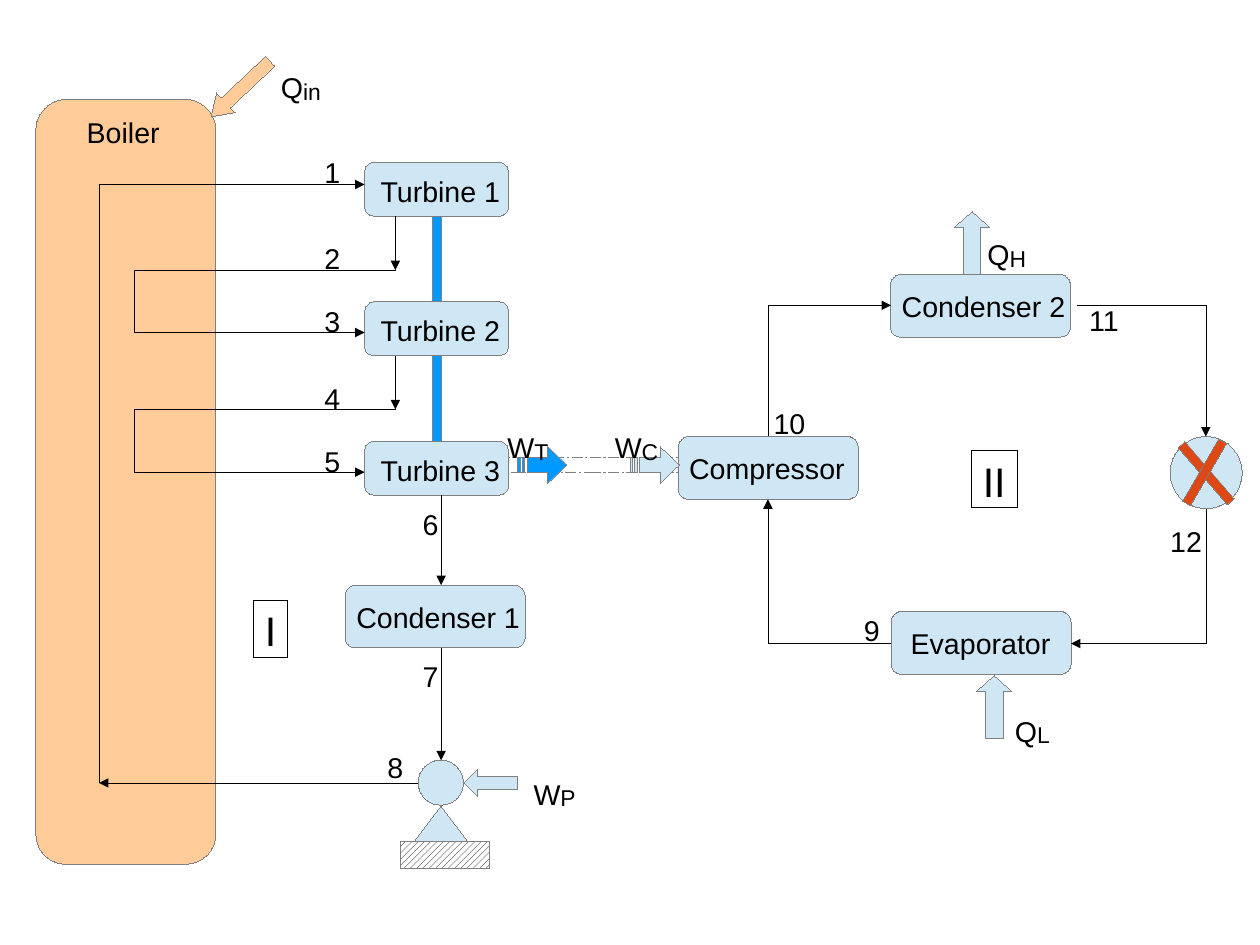
from lxml import etree
from pptx import Presentation
from pptx.dml.color import RGBColor
from pptx.enum import dml, shapes, text
from pptx.oxml import ns
from pptx.util import Pt

SHAPE = shapes.MSO_SHAPE
BLUE, SHAFT, ORANGE, RED = "CFE7F5", "0099FF", "FFCC99", "DD4814"
WHITE, GREY, BLACK = "FFFFFF", "808080", "000000"
HAIRLINE = Pt(0.01)
SLACK = 1.5  # spare label width that keeps each label on one line

# Units: name, text left, text top, text width, box left, top, width, height
TURBINE_TOP, TURBINE_PITCH, TURBINE_H = 102.2, 87.85, 34
MACHINES = [
    ("Condenser 1", 217.4, 374.4, 117.4, 217.4, 368.6, 113.4, 39.6),
    ("Condenser 2", 560.9, 178.6, 117.4, 560.9, 172.8, 113.4, 39.6),
    ("Evaporator", 566.6, 391, 102.2, 561.3, 385.2, 113.4, 39.6),
    ("Compressor", 427, 280.8, 112.3, 427.2, 275, 113.4, 39.6),
]
MACHINES += [
    (f"Turbine {i + 1}", 232.6, TURBINE_TOP + 3.6 + i * TURBINE_PITCH, 89.3,
     229.7, TURBINE_TOP + i * TURBINE_PITCH, 90.7, TURBINE_H)
    for i in range(3)
]

# Straight flow lines: x1, y1, x2, y2, arrow at the end
FLOWS = [
    (62.4, 116.2, 229.7, 116.2, True),
    (85, 170.2, 249.1, 170.2, False),
    (249.1, 136.2, 249.1, 170.2, True),
    (85, 209.5, 229.7, 209.5, True),
    (85, 170.2, 85, 209.5, False),
    (249.1, 224, 249.1, 257.9, True),
    (85, 257.9, 249.1, 257.9, False),
    (85, 257.9, 85, 297.4, False),
    (85, 297.4, 229.7, 297.4, True),
    (277.9, 311.9, 277.9, 368.6, True),
    (277.9, 408.2, 277.9, 479, True),
    (263.5, 493.2, 62.4, 493.2, True),
    (62.4, 493.2, 62.4, 116.2, False),
]
# Cooling loop corners: x1, y1, x2, y2, starts vertically
LOOP = [
    (483.8, 275, 561.3, 192.4, True),
    (678.2, 192.4, 759.6, 275, False),
    (759.6, 320.4, 674.6, 405.4, True),
    (561.3, 405.4, 483.8, 314.6, False),
]
# Pump, valve and heat arrows: preset, left, top, width, height, fill, rotation, adjustments
PARTS = [
    (SHAPE.OVAL, 263.5, 478.8, 28.4, 28.4, BLUE, 0, ()),
    (SHAPE.ISOSCELES_TRIANGLE, 260.9, 507.6, 33.8, 22.3, BLUE, 0, ()),
    (SHAPE.OVAL, 737.1, 275, 45.4, 45.4, BLUE, 0, ()),
    (SHAPE.RECTANGLE, 736.1, 295.2, 47.5, 5.7, RED, 49.2, ()),
    (SHAPE.RECTANGLE, 736.1, 294.6, 45.4, 5.7, RED, 120.1, ()),
    (SHAPE.UP_ARROW, 615.1, 425.5, 22.3, 39.6, BLUE, 0, (0.5, 0.44)),
    (SHAPE.UP_ARROW, 601.2, 133.2, 22.3, 39.6, BLUE, 0, (0.5, 0.44)),
    (SHAPE.LEFT_ARROW, 292.3, 484.7, 33.8, 17, BLUE, 0, (0.5, 0.5)),
    (SHAPE.LEFT_ARROW, 126, 47.5, 51.1, 17, ORANGE, 316.7, (0.5, 0.75)),
]
# Striped work arrows: left, fill; outlines relative to left and top
WORK_ARROWS = [(326.2, SHAFT), (397.1, BLUE)]
WORK_TOP = 281.3
WORK_OUTLINES = [
    [(18.9, 0), (30.8, 11.5), (18.9, 23), (18.9, 16.1), (5.8, 16.1), (5.8, 6.6), (18.9, 6.6)],
    [(0, 6.6), (0, 16.1), (1.4, 16.1), (1.4, 6.6)],
    [(2.9, 6.6), (2.9, 16.1), (4.3, 16.1), (4.3, 6.6)],
]
# Energy labels: letter, subscript, left, top, width
ENERGIES = [
    ("Q", "L", 632.2, 439.2, 36), ("Q", "H", 614.9, 139, 38.9),
    ("W", "T", 312.5, 260.6, 40.3), ("W", "C", 380.2, 260.6, 41.8),
    ("W", "P", 329, 478.8, 41), ("Q", "in", 169.9, 33.8, 39.6),
]
# State points 1 to 12: left, top
STATES = [
    (197.3, 94.3), (197.3, 148.3), (197.3, 187.9), (197.3, 236.2),
    (197.3, 275.8), (259.2, 316.1), (259.2, 411.8), (236.9, 468.7),
    (537.1, 382.3), (480.2, 252), (679, 187.2), (730.1, 326.2),
]
# Cycle numbers: text, left, top, width
CYCLES = [("I", 159.8, 378, 21.6), ("II", 612, 283.7, 28.8)]

prs = Presentation()
prs.slide_width, prs.slide_height = Pt(793.7), Pt(595.3)
s = prs.slides.add_slide(prs.slide_layouts[6])


def color(target, value):
    target.rgb = RGBColor.from_string(value)


def outline(sp, value):
    color(sp.line.color, value)
    sp.line.width = HAIRLINE


def style(sp, fill):
    sp.shadow.inherit = False
    sp.fill.solid()
    color(sp.fill.fore_color, fill)
    outline(sp, GREY)


def add_part(kind, x, y, w, h, fill, turn=0, adjust=()):
    sp = s.shapes.add_shape(kind, Pt(x), Pt(y), Pt(w), Pt(h))
    style(sp, fill)
    sp.rotation = turn
    for i, value in enumerate(adjust):
        sp.adjustments[i] = value
    return sp


def add_label(x, y, w, h, content, sub="", size=18):
    sp = s.shapes.add_textbox(Pt(x), Pt(y), Pt(w), Pt(h))
    tf = sp.text_frame
    tf.word_wrap = False
    tf.auto_size = text.MSO_AUTO_SIZE.SHAPE_TO_FIT_TEXT
    p = tf.paragraphs[0]
    for part, points in ((content, size), (sub, 24.8)):
        if part:
            r = p.add_run()
            r.text = part
            r.font.name, r.font.size = "Arial", Pt(points)
            color(r.font.color, BLACK)
    if sub:
        r.font._element.set("baseline", "-4000")
    return sp


def add_flow(kind, x1, y1, x2, y2, arrow):
    c = s.shapes.add_connector(kind, Pt(x1), Pt(y1), Pt(x2), Pt(y2))
    outline(c, BLACK)
    pr = c._element.spPr
    if arrow:
        etree.SubElement(pr.find(ns.qn("a:ln")), ns.qn("a:tailEnd"), type="triangle")
    etree.SubElement(pr, ns.qn("a:effectLst"))
    return pr


def add_corner(x1, y1, x2, y2, vertical):
    if vertical:  # same centre, laid out before a quarter turn
        cx, cy, dx, dy = (x1 + x2) / 2, (y1 + y2) / 2, (x2 - x1) / 2, (y2 - y1) / 2
        x1, y1, x2, y2 = cx - dy, cy + dx, cx + dy, cy - dx
    pr = add_flow(shapes.MSO_CONNECTOR.ELBOW, x1, y1, x2, y2, True)
    pr.find(ns.qn("a:prstGeom")).set("prst", "bentConnector2")
    if vertical:
        pr.find(ns.qn("a:xfrm")).set("rot", "5400000")


# Work link between the cycles, boiler
link = add_part(SHAPE.RECTANGLE, 320.4, 288, 107.3, 9.4, WHITE)
link.line.dash_style = dml.MSO_LINE.LONG_DASH_DOT
add_part(SHAPE.ROUNDED_RECTANGLE, 22.6, 62.6, 113.4, 481.9, ORANGE, 0, (0.17,))
add_label(47.5, 69.1, 60.5 + SLACK, 27.4, "Boiler")

# Machines and turbine shaft
for name, tx, ty, tw, *box in MACHINES:
    add_part(SHAPE.ROUNDED_RECTANGLE, *box, BLUE, 0, (0.17,))
    add_label(tx, ty, tw + SLACK, 27.4, name)
for i in range(2):
    add_part(SHAPE.RECTANGLE, 272.2, TURBINE_TOP + TURBINE_H + i * TURBINE_PITCH,
             5.7, TURBINE_PITCH - TURBINE_H, SHAFT)

# Flow lines, pump, valve and arrows
for flow in FLOWS:
    add_flow(shapes.MSO_CONNECTOR.STRAIGHT, *flow)
for part in PARTS:
    add_part(*part)
for corner in LOOP:
    add_corner(*corner)
base = add_part(SHAPE.RECTANGLE, 252, 529.9, 56.7, 17, WHITE)
base.fill.patterned()
base.fill.pattern = dml.MSO_PATTERN.WIDE_UPWARD_DIAGONAL
color(base.fill.fore_color, BLACK)
color(base.fill.back_color, WHITE)

for left, fill in WORK_ARROWS:
    contours = [[(Pt(left + x), Pt(WORK_TOP + y)) for x, y in o] for o in WORK_OUTLINES]
    builder = s.shapes.build_freeform(*contours[0][0])
    for i, points in enumerate(contours):
        if i:
            builder.move_to(*points[0])
        builder.add_line_segments(points[1:], close=True)
    style(builder.convert_to_shape(), fill)

# Labels
for letter, sub, x, y, w in ENERGIES:
    add_label(x, y, w + SLACK, 30.2, letter, sub)
for number, (x, y) in enumerate(STATES, 1):
    add_label(x, y, (24.5 if number < 10 else 34.5) + SLACK, 27.4, str(number))
for numeral, x, y, w in CYCLES:
    outline(add_label(x, y, w, 36, numeral, size=26), BLACK)

prs.save("out.pptx")
